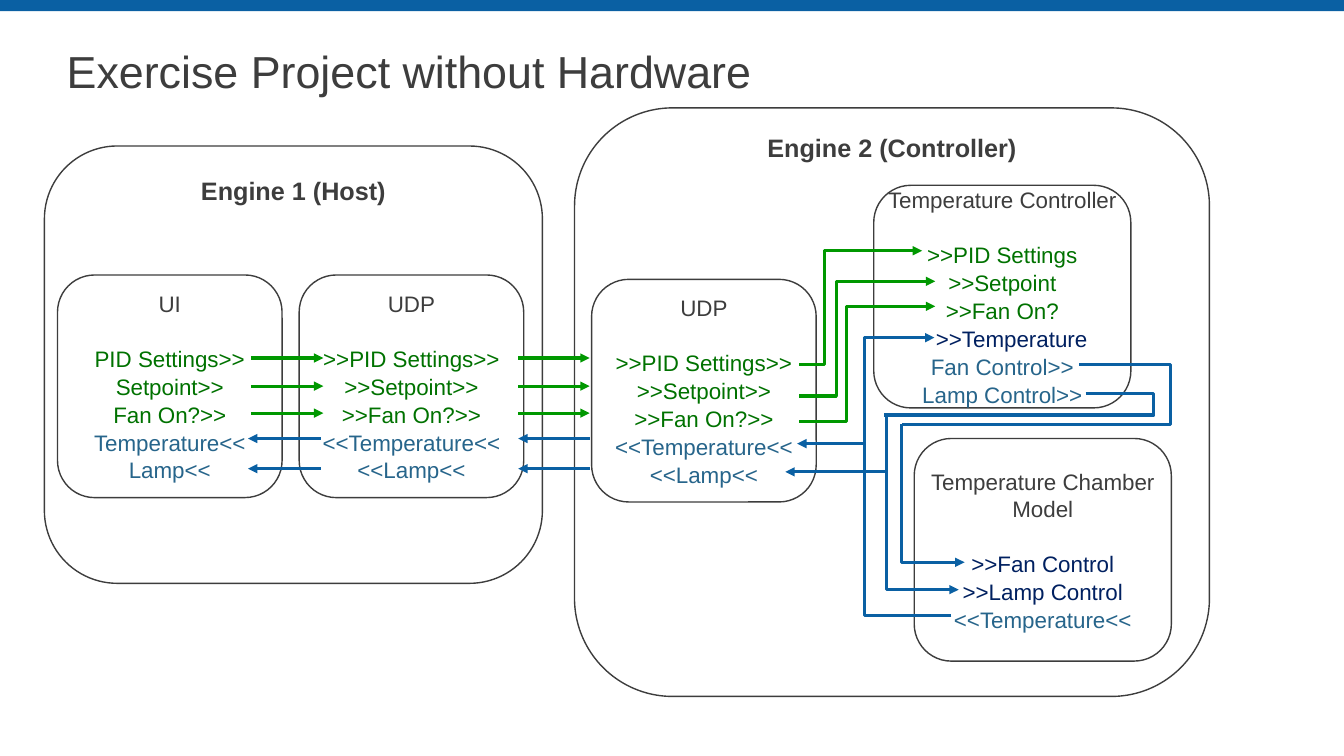
from lxml import etree
from pptx import Presentation
from pptx.dml.color import RGBColor
from pptx.enum.shapes import MSO_CONNECTOR, MSO_SHAPE
from pptx.enum.text import MSO_ANCHOR, MSO_AUTO_SIZE, PP_ALIGN
from pptx.oxml.ns import qn
from pptx.util import Cm, Pt

STRAIGHT, ELBOW = MSO_CONNECTOR.STRAIGHT, MSO_CONNECTOR.ELBOW
RECTANGLE, ROUNDED = MSO_SHAPE.RECTANGLE, MSO_SHAPE.ROUNDED_RECTANGLE
TOP, MIDDLE = MSO_ANCHOR.TOP, MSO_ANCHOR.MIDDLE
LEFT, CENTER = PP_ALIGN.LEFT, PP_ALIGN.CENTER

COLORS = {
    "text": "3D3D3D", "bar": "0A60A3",
    "command": "007200", "command_wire": "009800",
    "status": "27658B", "status_wire": "0A60A3", "input": "002060",
}
FONT = "Arial"
MODULE_HEIGHT = 5.61
NARROW, WIDE = 5.66, 6.48

UDP_SIGNALS = [
    (">>PID Settings>>", "command"), (">>Setpoint>>", "command"),
    (">>Fan On?>>", "command"), ("<<Temperature<<", "status"),
    ("<<Lamp<<", "status"),
]

# name, left, top, width, height, top margin
ENGINES = [
    ("Engine 1 (Host)", 1.12, 3.68, 12.55, 11.02, 0.2),
    ("Engine 2 (Controller)", 14.48, 2.72, 16, 14.83, -0.1),
]

# name, left, top, width, signals
MODULES = [
    ("UI", 1.45, 6.93, NARROW, [
        ("PID Settings>>", "command"), ("Setpoint>>", "command"),
        ("Fan On?>>", "command"), ("Temperature<<", "status"),
        ("Lamp<<", "status")]),
    ("UDP", 7.54, 6.93, NARROW, UDP_SIGNALS),
    ("UDP", 14.91, 7.04, NARROW, UDP_SIGNALS),
    ("Temperature Controller", 22.02, 4.67, WIDE, [
        (">>PID Settings", "command"), (">>Setpoint", "command"),
        (">>Fan On?", "command"), (">>Temperature", "input"),
        ("Fan Control>>", "status"), ("Lamp Control>>", "status")]),
    ("Temperature Chamber Model", 23.04, 11.05, WIDE, [
        (">>Fan Control", "input"), (">>Lamp Control", "input"),
        ("<<Temperature<<", "status")]),
]
INDENTS = {">>Temperature": 0.47}

# Straight links: left and right ends, and the rows they share
COMMAND_ROWS = [9.02, 9.73, 10.41]
STATUS_ROWS = [11.05, 11.81]
COMMAND_SPANS = [(6.32, 8.15), (13.06, 14.86)]
STATUS_SPANS = [(8.08, 6.25), (14.86, 13.06)]

# start, end, x of the vertical part, colour, arrowhead
BENT_WIRES = [
    ((20.14, 9.19), (23.24, 6.32), 20.78, "command_wire", True),
    ((20.14, 9.98), (23.57, 7.09), 21.08, "command_wire", True),
    ((20.14, 10.62), (23.57, 7.72), 21.34, "command_wire", True),
    ((27.2, 9.19), (22.73, 10.69), 29.51, "status_wire", False),
    ((22.73, 10.69), (24.31, 14.17), 22.73, "status_wire", True),
    ((27.36, 9.91), (22.28, 10.46), 29.08, "status_wire", False),
    ((22.35, 10.46), (24.16, 14.86), 22.35, "status_wire", True),
    ((23.98, 15.52), (20.09, 11.18), 21.79, "status_wire", True),
    ((21.79, 11.18), (23.55, 8.51), 21.79, "status_wire", True),
]


def color(name):
    return RGBColor.from_string(COLORS[name])


def format_paragraph(paragraph, size, color_name, alignment=CENTER, bold=False):
    paragraph.alignment = alignment
    for run in paragraph.runs:
        run.font.name = FONT
        run.font.size = Pt(size)
        run.font.bold = bold
        run.font.color.rgb = color(color_name)


def format_frame(text_frame, anchor):
    text_frame.word_wrap = True
    text_frame.auto_size = MSO_AUTO_SIZE.NONE
    text_frame.vertical_anchor = anchor
    text_frame.margin_left = text_frame.margin_right = 0
    text_frame.margin_top = text_frame.margin_bottom = Cm(0.13)


def add_title(slide, text):
    title = slide.shapes.title
    title.left, title.top = Cm(1.68), Cm(1.02)
    title.width, title.height = Cm(30.48), Cm(1.7)
    title.text_frame.text = text
    format_frame(title.text_frame, MIDDLE)
    paragraph = title.text_frame.paragraphs[0]
    paragraph.line_spacing = 0.9
    format_paragraph(paragraph, 32, "text", LEFT)


def add_bar(slide, width):
    bar = slide.shapes.add_shape(RECTANGLE, 0, 0, width, Cm(0.28))
    bar.shadow.inherit = False
    bar.fill.solid()
    bar.fill.fore_color.rgb = color("bar")
    bar.line.fill.background()


def add_box(slide, name, left, top, width, height, anchor):
    box = slide.shapes.add_shape(ROUNDED, Cm(left), Cm(top), Cm(width), Cm(height))
    box.shadow.inherit = False
    box.fill.background()
    box.line.color.rgb = color("text")
    box.line.width = Pt(1)
    box.text_frame.text = name
    format_frame(box.text_frame, anchor)
    return box


def add_engine(slide, name, left, top, width, height, margin):
    text_frame = add_box(slide, name, left, top, width, height, TOP).text_frame
    text_frame.margin_top = Cm(margin)
    format_paragraph(text_frame.paragraphs[0], 18, "text", bold=True)


def add_module(slide, name, left, top, width, signals):
    box = add_box(slide, name, left, top, width, MODULE_HEIGHT, MIDDLE)
    heading = box.text_frame.paragraphs[0]
    heading.space_after = Pt(19.1)
    heading.line_spacing = 1.04
    format_paragraph(heading, 16, "text")
    for text, color_name in signals:
        paragraph = box.text_frame.add_paragraph()
        paragraph.text = text
        paragraph.line_spacing = 1.04
        format_paragraph(paragraph, 16, color_name)
        if text in INDENTS:
            properties = paragraph._p.get_or_add_pPr()
            properties.set("marL", str(Cm(INDENTS[text])))
            properties.set("indent", "0")


def add_wire(slide, start, end, color_name, bend=None, arrow=True):
    kind = STRAIGHT if bend is None else ELBOW
    points = [Cm(value) for value in (*start, *end)]
    wire = slide.shapes.add_connector(kind, *points)
    wire.line.color.rgb = color(color_name)
    wire.line.width = Pt(2.25)
    properties = wire._element.spPr
    if arrow:
        etree.SubElement(properties.find(qn("a:ln")), qn("a:tailEnd"), type="triangle")
    if bend is not None:
        # Position of the vertical part as a share of the width
        share = round((bend - start[0]) / (end[0] - start[0]) * 100000)
        guides = properties.find(qn("a:prstGeom")).get_or_add_avLst()
        etree.SubElement(guides, qn("a:gd"), name="adj1", fmla=f"val {share}")
    etree.SubElement(properties, qn("a:effectLst"))


def add_links(slide, spans, rows, color_name):
    for start, end in spans:
        for row in rows:
            add_wire(slide, (start, row), (end, row), color_name)


def main():
    presentation = Presentation()
    presentation.slide_width, presentation.slide_height = Cm(33.87), Cm(19.05)
    slide = presentation.slides.add_slide(presentation.slide_layouts[5])

    # Heading
    add_bar(slide, presentation.slide_width)
    add_title(slide, "Exercise Project without Hardware")

    # Engines and their modules
    for engine in ENGINES:
        add_engine(slide, *engine)
    for module in MODULES:
        add_module(slide, *module)

    # Signal wires
    add_links(slide, COMMAND_SPANS, COMMAND_ROWS, "command_wire")
    add_links(slide, STATUS_SPANS, STATUS_ROWS, "status_wire")
    for start, end, bend, color_name, arrow in BENT_WIRES:
        add_wire(slide, start, end, color_name, bend, arrow)
    add_wire(slide, (22.35, 11.89), (19.79, 11.89), "status_wire")

    presentation.save("out.pptx")


if __name__ == "__main__":
    main()
